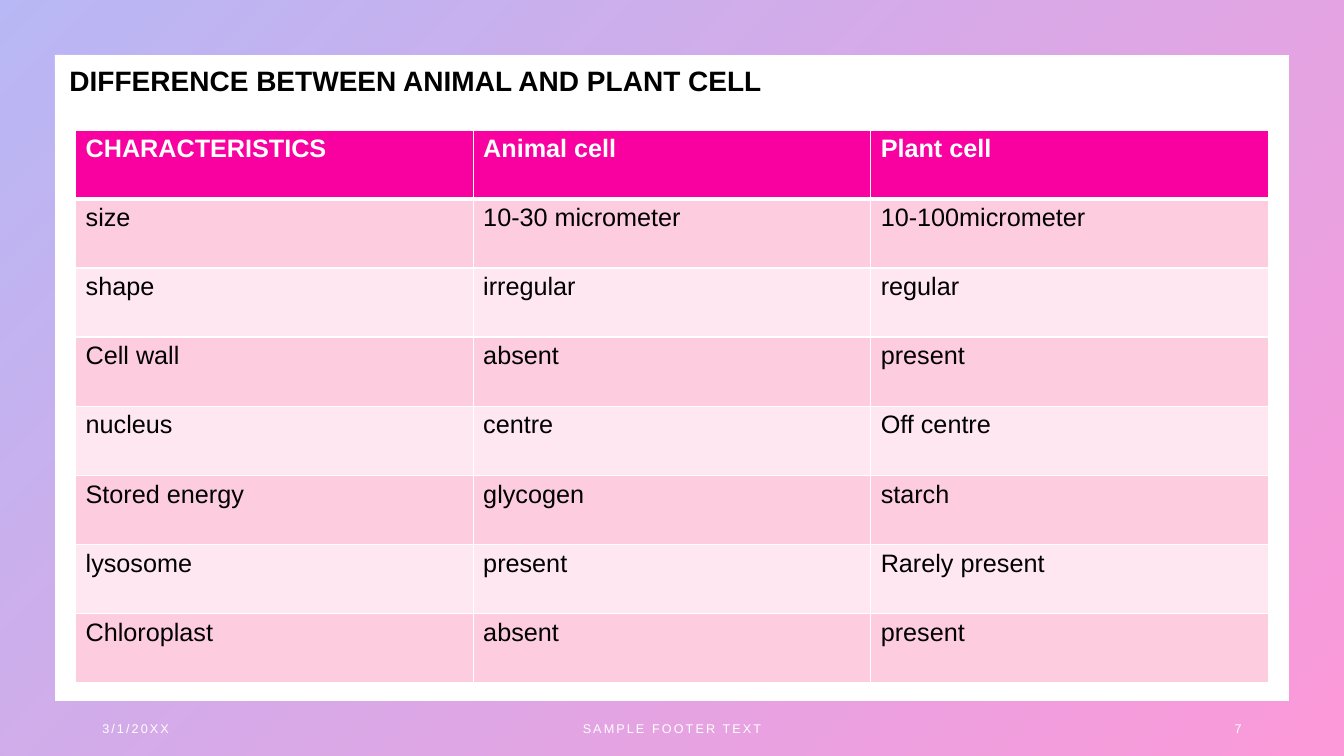
from dataclasses import dataclass

from lxml import etree
from pptx import Presentation
from pptx.dml.color import RGBColor
from pptx.enum.shapes import MSO_SHAPE
from pptx.enum.text import MSO_ANCHOR, PP_ALIGN
from pptx.oxml.ns import qn
from pptx.shapes.autoshape import Shape
from pptx.slide import Slide
from pptx.table import _Cell
from pptx.text.text import TextFrame
from pptx.util import Emu, Pt

FRAME, RECTANGLE = MSO_SHAPE.FRAME, MSO_SHAPE.RECTANGLE
LEFT, CENTER, RIGHT = PP_ALIGN.LEFT, PP_ALIGN.CENTER, PP_ALIGN.RIGHT
TOP, MIDDLE = MSO_ANCHOR.TOP, MSO_ANCHOR.MIDDLE

# The slide is a grid of square units, 160 columns by 90 rows
COLUMNS, ROWS = 160, 90
UNIT = Pt(6)


@dataclass(frozen=True)
class Theme:
    font: str = "Arial"
    white: str = "FFFFFF"
    black: str = "000000"
    blue: str = "4D4EE6"
    pink: str = "F900A0"
    band_dark: str = "FDCCDF"
    band_light: str = "FEE7F0"
    title_size: float = 20
    table_size: float = 18
    footer_size: float = 9
    footer_spacing: float = 1.5
    gradient_opacity: int = 40
    rule: float = 1
    header_rule: float = 3


THEME = Theme()


@dataclass(frozen=True)
class Area:
    column: float
    row: float
    width: float
    height: float

    def emu(self) -> tuple[Emu, ...]:
        return tuple(units(n) for n in (self.column, self.row, self.width, self.height))


@dataclass(frozen=True)
class FooterItem:
    text: str
    column: float
    width: float
    align: PP_ALIGN


WHOLE_SLIDE = Area(0, 0, COLUMNS, ROWS)
TITLE_AREA = Area(7.08, 6.96, 91.8, 5.28)
TABLE_AREA = Area(9, 15.48, 142, 65.76)
FOOTER_ROW, FOOTER_HEIGHT = 84.36, 4.8

FOOTER = (
    FooterItem("3/1/20XX", 11, 36, LEFT),
    FooterItem("SAMPLE FOOTER TEXT", 53, 54, CENTER),
    FooterItem("7", 113, 36, RIGHT),
)

COMPARISON = (
    ("CHARACTERISTICS", "Animal cell", "Plant cell"),
    ("size", "10-30 micrometer", "10-100micrometer"),
    ("shape", "irregular", "regular"),
    ("Cell wall", "absent", "present"),
    ("nucleus", "centre", "Off centre"),
    ("Stored energy", "glycogen", "starch"),
    ("lysosome", "present", "Rarely present"),
    ("Chloroplast", "absent", "present"),
)


def units(count: float) -> Emu:
    return Emu(round(count * UNIT))


def rgb(color: str) -> RGBColor:
    return RGBColor.from_string(color)


def write(frame: TextFrame, text: str, *, size: float, color: str, bold: bool = False,
          align: PP_ALIGN = LEFT, spacing: float = 0) -> None:
    paragraph = frame.paragraphs[0]
    paragraph.alignment = align
    run = paragraph.add_run()
    run.text = text
    run.font.name = THEME.font
    run.font.size = Pt(size)
    run.font.bold = bold
    run.font.color.rgb = rgb(color)
    if spacing:
        run.font._element.set("spc", str(round(spacing * 100)))


def add_text(slide: Slide, area: Area, text: str, anchor: MSO_ANCHOR = TOP, **style) -> None:
    frame = slide.shapes.add_textbox(*area.emu()).text_frame
    frame.word_wrap = True
    frame.vertical_anchor = anchor
    write(frame, text, **style)


def add_backdrop(slide: Slide, kind: MSO_SHAPE) -> Shape:
    backdrop = slide.shapes.add_shape(kind, *WHOLE_SLIDE.emu())
    backdrop.shadow.inherit = False
    backdrop.line.fill.background()
    return backdrop


def add_gradient_border(slide: Slide) -> None:
    border = add_backdrop(slide, FRAME)
    border.adjustments[0] = 0.072
    border.fill.gradient()
    border.fill.gradient_angle = 315
    for stop, color, position in zip(border.fill.gradient_stops, (THEME.blue, THEME.pink), (0, 1)):
        stop.color.rgb = rgb(color)
        stop.position = position
    for color_node in border._element.spPr.iter(qn("a:srgbClr")):
        etree.SubElement(color_node, qn("a:alpha"), val=str(THEME.gradient_opacity * 1000))


def rule_cell(cell: _Cell, top: float, bottom: float) -> None:
    properties = cell._tc.get_or_add_tcPr()
    widths = {"lnL": THEME.rule, "lnR": THEME.rule, "lnT": top, "lnB": bottom}
    # Border elements come before the fill
    for index, (side, width) in enumerate(widths.items()):
        line = etree.Element(qn(f"a:{side}"), w=str(Pt(width)))
        solid = etree.SubElement(line, qn("a:solidFill"))
        etree.SubElement(solid, qn("a:srgbClr"), val=THEME.white)
        properties.insert(index, line)


def add_comparison(slide: Slide) -> None:
    row_count, column_count = len(COMPARISON), len(COMPARISON[0])
    table = slide.shapes.add_table(row_count, column_count, *TABLE_AREA.emu()).table
    for column in table.columns:
        column.width = units(TABLE_AREA.width / column_count)
    for index, values in enumerate(COMPARISON):
        table.rows[index].height = units(TABLE_AREA.height / row_count)
        header = index == 0
        band = THEME.band_dark if index % 2 else THEME.band_light
        for cell, value in zip(table.rows[index].cells, values):
            cell.fill.solid()
            cell.fill.fore_color.rgb = rgb(THEME.pink if header else band)
            rule_cell(cell, top=THEME.header_rule if index == 1 else THEME.rule,
                      bottom=THEME.header_rule if header else THEME.rule)
            write(cell.text_frame, value, size=THEME.table_size, bold=header,
                  color=THEME.white if header else THEME.black)


def main() -> None:
    deck = Presentation()
    deck.slide_width, deck.slide_height = units(COLUMNS), units(ROWS)
    slide = deck.slides.add_slide(deck.slide_layouts[6])

    # White page with a gradient border
    page = add_backdrop(slide, RECTANGLE)
    page.fill.solid()
    page.fill.fore_color.rgb = rgb(THEME.white)
    add_gradient_border(slide)

    # Footer
    for item in FOOTER:
        area = Area(item.column, FOOTER_ROW, item.width, FOOTER_HEIGHT)
        add_text(slide, area, item.text, MIDDLE, size=THEME.footer_size, color=THEME.white,
                 align=item.align, spacing=THEME.footer_spacing)

    # Title and comparison table
    add_text(slide, TITLE_AREA, "DIFFERENCE BETWEEN ANIMAL AND PLANT CELL",
             size=THEME.title_size, color=THEME.black, bold=True)
    add_comparison(slide)

    deck.save("out.pptx")


if __name__ == "__main__":
    main()
